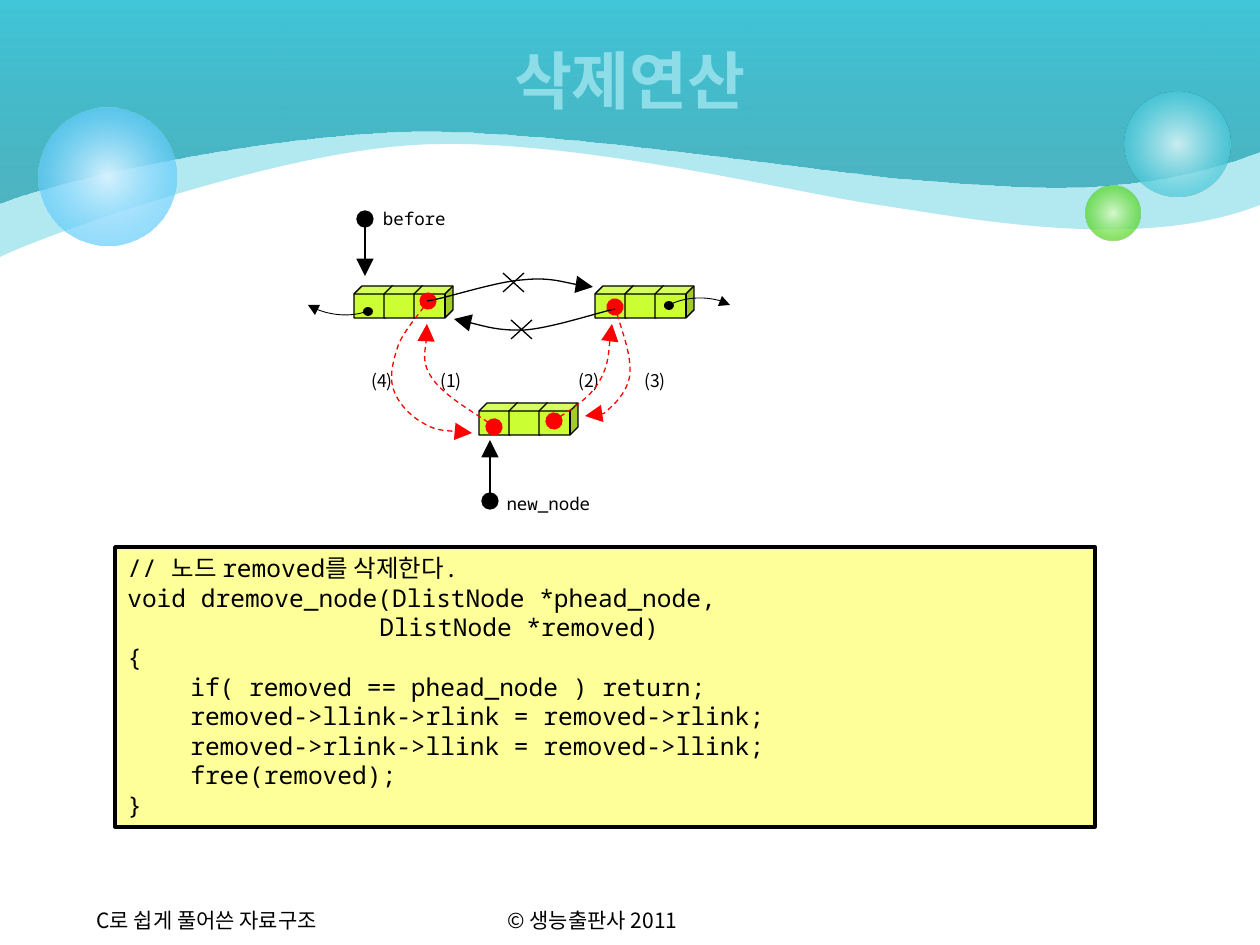
from lxml.etree import SubElement
from pptx import Presentation
from pptx.dml.color import RGBColor
from pptx.enum.dml import MSO_LINE
from pptx.enum.shapes import MSO_CONNECTOR, MSO_SHAPE
from pptx.enum.text import MSO_ANCHOR, PP_ALIGN
from pptx.oxml.ns import qn
from pptx.util import Pt

SCALE = 914400 / 126
SANS = "Noto Sans CJK KR"
MONO = "Noto Sans Mono"
COLORS = {
    "black": "000000", "red": "FF0000", "lime": "CCFF33", "cream": "FFFF99",
    "teal": "40C6D8", "deep teal": "249EAE", "pale teal": "D9F4F7",
    "title": "8CDDE8", "pale green": "DAFACD", "green": "4CD416",
    "pale blue": "D6F2FE", "blue": "33BDFB",
}
CODE = """// 노드 removed를 삭제한다.
void dremove_node(DlistNode *phead_node,
\t\t\t\tDlistNode *removed)
{
\tif( removed == phead_node ) return;
\tremoved->llink->rlink = removed->rlink;
\tremoved->rlink->llink = removed->llink;
\tfree(removed);
}"""
WAVES = [
    ([(0, 257), (42, 236), (270, 154), (413, 145), (558, 136), (764, 186), (866, 203),
      (968, 218), (1137, 253), (1260, 205), (1260, 0), (0, 0)],
     [(0, "teal", 40)]),
    ([(0, 204), (57, 181), (256, 136), (411, 132), (566, 129), (829, 175), (929, 181),
      (1028, 188), (1137, 200), (1260, 152), (1260, 0), (0, 0)],
     [(0, "deep teal", 69), (100, "teal", 100)]),
]
BUBBLES = [
    (1125, 92, 105, [(0, "pale teal", 90), (76, "teal", 70)]),
    (1086, 186, 54, [(0, "pale green", 90), (76, "green", 70)]),
    (39, 108, 138, [(0, "pale blue", 100), (100, "blue", 54)]),
]
NEW_LINKS = [
    [(494, 427), (484, 418), (444, 396), (432, 378), (421, 362), (428, 335), (427, 324)],
    [(554, 421), (562, 415), (590, 398), (599, 382), (609, 365), (610, 335), (612, 324)],
    [(428, 301), (423, 309), (406, 329), (399, 343), (394, 358), (389, 374), (393, 388),
     (397, 402), (410, 416), (423, 423), (436, 431), (462, 432), (472, 433)],
    [(615, 307), (622, 331), (631, 355), (630, 373), (629, 389), (617, 402), (610, 408),
     (602, 416), (593, 416), (585, 416)],
]
OLD_LINKS = [
    [(427, 301), (444, 299), (494, 282), (522, 280), (549, 277), (578, 286), (593, 287)],
    [(615, 309), (600, 312), (552, 328), (525, 330), (498, 331), (469, 322), (454, 319)],
]
OUTER_LINKS = [
    ([(669, 305), (685, 297), (704, 296), (721, 301)], [(722, 296), (730, 305), (718, 306)]),
    ([(368, 311), (352, 317), (333, 316), (316, 309)], [(315, 315), (308, 305), (320, 305)]),
]


def px(*values):
    return [round(value * SCALE) for value in values]


def rgb(name):
    return RGBColor.from_string(COLORS[name])


def finish(shape, fill=None, line=None, width=0.75):
    shape.shadow.inherit = False
    if fill:
        shape.fill.solid()
        shape.fill.fore_color.rgb = rgb(fill)
    else:
        shape.fill.background()
    if line:
        shape.line.color.rgb = rgb(line)
        shape.line.width = Pt(width)
    else:
        shape.line.fill.background()


def add_translucent_fill(shape, stops, radial=False):
    finish(shape)
    blank = shape._element.spPr.find(qn("a:noFill"))
    kind = "a:gradFill" if len(stops) > 1 else "a:solidFill"
    fill = SubElement(shape._element.spPr, qn(kind))
    blank.getparent().replace(blank, fill)
    stop_list = SubElement(fill, qn("a:gsLst")) if len(stops) > 1 else None
    for position, color, alpha in stops:
        parent = fill
        if stop_list is not None:
            parent = SubElement(stop_list, qn("a:gs"), pos=str(position * 1000))
        node = SubElement(parent, qn("a:srgbClr"), val=COLORS[color])
        SubElement(node, qn("a:alpha"), val=str(alpha * 1000))
    if radial:
        shade = SubElement(fill, qn("a:path"), path="circle")
        SubElement(shade, qn("a:fillToRect"), l="50000", t="50000", r="50000", b="50000")
    elif stop_list is not None:
        SubElement(fill, qn("a:lin"), ang="16200000", scaled="0")


def add_shape(slide, kind, box, fill=None, line=None, width=0.75):
    shape = slide.shapes.add_shape(kind, *px(*box))
    finish(shape, fill, line, width)
    return shape


def add_outline(slide, points, close=False):
    builder = slide.shapes.build_freeform(*points[0], scale=SCALE)
    builder.add_line_segments(points[1:], close=close)
    shape = builder.convert_to_shape()
    segments = shape._element.xpath(".//a:path/a:lnTo")
    for start in range(0, len(segments) // 3 * 3, 3):
        curve = segments[start]
        curve.tag = qn("a:cubicBezTo")
        for segment in segments[start + 1:start + 3]:
            curve.append(segment[0])
            segment.getparent().remove(segment)
    return shape


def add_ends(shape, dot=False):
    line = shape.line._get_or_add_ln()
    if dot:
        SubElement(line, qn("a:headEnd"), type="oval", w="lg", len="lg")
    SubElement(line, qn("a:tailEnd"), type="triangle", w="lg", len="lg")


def add_line(slide, *ends):
    connector = slide.shapes.add_connector(MSO_CONNECTOR.STRAIGHT, *px(*ends))
    connector.line.color.rgb = rgb("black")
    connector.line.width = Pt(0.75)
    SubElement(connector._element.spPr, qn("a:effectLst"))
    return connector


def write(shape, text, size, font=SANS, color="black", align=PP_ALIGN.LEFT,
          anchor=MSO_ANCHOR.TOP, wrap=False, bold=False, spacing=None):
    frame = shape.text_frame
    frame.text = text
    frame.word_wrap = wrap
    frame.vertical_anchor = anchor
    for paragraph in frame.paragraphs:
        paragraph.alignment = align
        paragraph.line_spacing = spacing
        for run in paragraph.runs:
            run.font.size = Pt(size)
            run.font.bold = bold
            run.font.name = font
            run.font.color.rgb = rgb(color)
            SubElement(run._r.get_or_add_rPr(), qn("a:ea"), typeface=SANS)


def add_text(slide, box, text, size, **style):
    write(slide.shapes.add_textbox(*px(*box)), text, size, **style)


def add_node(slide, left, top):
    for cell in range(3):
        add_shape(slide, MSO_SHAPE.CUBE, (left + 30 * cell, top, 39, 32), "lime", "black")


def add_pointer(slide, ends, box, name):
    add_ends(add_line(slide, *ends), dot=True)
    label = add_shape(slide, MSO_SHAPE.CUBE, box)
    frame = label.text_frame
    frame.margin_left = frame.margin_right = frame.margin_top = frame.margin_bottom = 0
    write(label, name, 10, font=MONO, align=PP_ALIGN.CENTER, anchor=MSO_ANCHOR.MIDDLE)


def add_cross(slide, left, top):
    right, bottom = left + 21, top + 19
    add_line(slide, left, top, right, bottom)
    add_line(slide, right, top, left, bottom)


def add_backdrop(slide):
    for points, stops in WAVES:
        add_translucent_fill(add_outline(slide, points, close=True), stops)
    add_text(slide, (84, 901, 271, 38), "C로 쉽게 풀어쓴 자료구조", 12)
    add_text(slide, (495, 901, 218, 38), "© 생능출판사 2011", 12)
    for left, top, size, stops in BUBBLES:
        bubble = add_shape(slide, MSO_SHAPE.OVAL, (left, top, size, size))
        add_translucent_fill(bubble, stops, radial=True)


def add_diagram(slide):
    for corner in [(595, 286), (354, 286), (479, 403)]:
        add_node(slide, *corner)
    for curve, arrowhead in OUTER_LINKS:
        finish(add_outline(slide, curve), line="black", width=0.5)
        x, y = curve[0]
        add_shape(slide, MSO_SHAPE.OVAL, (x - 5, y - 4, 10, 9), "black")
        finish(add_outline(slide, arrowhead, close=True), "black")
    for number, left in enumerate([428, 566, 632, 359], 1):
        add_text(slide, (left, 364, 54, 34), f"({number})", 10)
    for points in NEW_LINKS:
        link = add_outline(slide, points)
        finish(link, line="red")
        link.line.dash_style = MSO_LINE.DASH
        add_ends(link, dot=True)
    for points in OLD_LINKS:
        link = add_outline(slide, points)
        finish(link, line="black")
        add_ends(link)
    add_pointer(slide, (365, 219, 365, 276), (368, 198, 101, 33), "before")
    add_pointer(slide, (490, 501, 490, 440), (493, 483, 119, 33), "new_node")
    add_cross(slide, 503, 273)
    add_cross(slide, 511, 320)


def main():
    presentation = Presentation()
    presentation.slide_width, presentation.slide_height = px(1260, 945)
    slide = presentation.slides.add_slide(presentation.slide_layouts[6])
    add_backdrop(slide)
    add_text(slide, (63, 0, 1134, 158), "삭제연산", 36, color="title", bold=True,
             align=PP_ALIGN.CENTER, anchor=MSO_ANCHOR.MIDDLE, wrap=True)
    add_diagram(slide)
    code_box = add_shape(slide, MSO_SHAPE.RECTANGLE, (115, 547, 980, 280), "cream", "black", 2)
    write(code_box, CODE, 14, font=MONO, align=PP_ALIGN.JUSTIFY, wrap=True, spacing=Pt(16.9))
    presentation.save("out.pptx")


if __name__ == "__main__":
    main()
